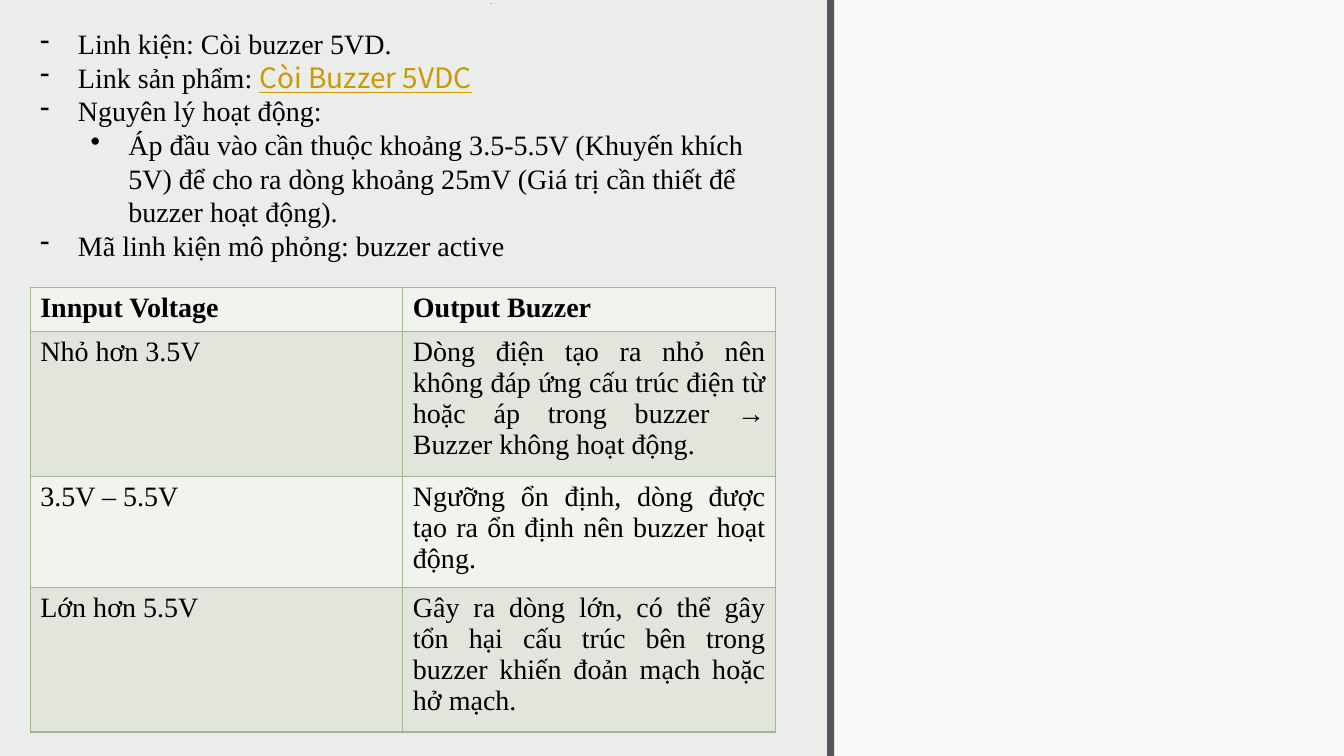
from lxml import etree
from pptx import Presentation
from pptx.dml.color import RGBColor
from pptx.enum.shapes import MSO_SHAPE
from pptx.enum.text import PP_ALIGN
from pptx.oxml.ns import qn
from pptx.util import Pt

RECTANGLE = MSO_SHAPE.RECTANGLE
JUSTIFY = PP_ALIGN.JUSTIFY
BODY_FONT = "Times New Roman"
LINK_FONT = "Noto Sans CJK JP"
TEXT_SIZE = 20

COLORS = {
    "background": "EBEDEB",
    "panel": "FFFFFF",
    "divider": "595460",
    "dot": "30466D",
    "text": "000000",
    "link": "CC9900",
    "border": "A5B592",
    "light_row": "F0F3EE",
    "dark_row": "E1E5DC",
}

# Each entry: level, plain text, link-styled text
NOTES = [
    (0, "Linh kiện: Còi buzzer 5VD.", ""),
    (0, "Link sản phẩm: ", "Còi Buzzer 5VDC"),
    (0, "Nguyên lý hoạt động:", ""),
    (1, "Áp đầu vào cần thuộc khoảng 3.5-5.5V (Khuyến khích 5V) để cho ra "
        "dòng khoảng 25mV (Giá trị cần thiết để buzzer hoạt động).", ""),
    (0, "Mã linh kiện mô phỏng: buzzer active", ""),
]
BULLETS = [("-", 27), ("•", 63)]  # character and left margin per level
HANGING = 27

# Each entry: row height, input voltage, buzzer output
VOLTAGE_ROWS = [
    (31.4, "Innput Voltage", "Output Buzzer"),
    (103.6, "Nhỏ hơn 3.5V",
     "Dòng điện tạo ra nhỏ nên không đáp ứng cấu trúc điện từ hoặc áp trong "
     "buzzer → Buzzer không hoạt động."),
    (79, "3.5V – 5.5V",
     "Ngưỡng ổn định, dòng được tạo ra ổn định nên buzzer hoạt động."),
    (103.2, "Lớn hơn 5.5V",
     "Gây ra dòng lớn, có thể gây tổn hại cấu trúc bên trong buzzer khiến "
     "đoản mạch hoặc hở mạch."),
]


def color(name):
    return RGBColor.from_string(COLORS[name])


def fill_shape(shape, color_name):
    shape.fill.solid()
    shape.fill.fore_color.rgb = color(color_name)
    shape.line.fill.background()
    shape.shadow.inherit = False


def add_rectangle(slide, left, top, width, height, color_name, opacity=100):
    shape = slide.shapes.add_shape(RECTANGLE, Pt(left), Pt(top), Pt(width), Pt(height))
    fill_shape(shape, color_name)
    if opacity < 100:
        rgb = shape.fill._xPr.find(".//" + qn("a:srgbClr"))
        etree.SubElement(rgb, qn("a:alpha"), val=str(opacity * 1000))


def add_dot(slide, left, top, size):
    builder = slide.shapes.build_freeform(Pt(left), Pt(top))
    builder.add_line_segments(
        [(Pt(left + size), Pt(top)), (Pt(left), Pt(top + size))], close=True)
    fill_shape(builder.convert_to_shape(), "dot")


def style_run(run, font_name=BODY_FONT, color_name="text", bold=False):
    run.font.name = font_name
    run.font.size = Pt(TEXT_SIZE)
    run.font.bold = bold
    run.font.color.rgb = color(color_name)


def set_bullet(paragraph, level):
    character, margin = BULLETS[level]
    paragraph.level = level
    properties = paragraph._p.get_or_add_pPr()
    properties.set("marL", str(Pt(margin)))
    properties.set("indent", str(Pt(-HANGING)))
    etree.SubElement(properties, qn("a:buChar"), char=character)


def add_notes(slide, left, top, width, height):
    box = slide.shapes.add_textbox(Pt(left), Pt(top), Pt(width), Pt(height))
    frame = box.text_frame
    frame.word_wrap = True
    for index, (level, text, link) in enumerate(NOTES):
        paragraph = frame.add_paragraph() if index else frame.paragraphs[0]
        paragraph.text = text
        paragraph.line_spacing = Pt(24)
        set_bullet(paragraph, level)
        style_run(paragraph.runs[0])
        if link:
            run = paragraph.add_run()
            run.text = link
            style_run(run, LINK_FONT, "link")
            run.font.underline = True


def set_borders(cell):
    properties = cell._tc.get_or_add_tcPr()
    for index, side in enumerate(("lnL", "lnR", "lnT", "lnB")):
        line = etree.Element(qn("a:" + side), w=str(Pt(1)))
        fill = etree.SubElement(line, qn("a:solidFill"))
        etree.SubElement(fill, qn("a:srgbClr"), val=COLORS["border"])
        properties.insert(index, line)


def add_voltage_table(slide, left, top, width):
    height = sum(row[0] for row in VOLTAGE_ROWS)
    table = slide.shapes.add_table(
        len(VOLTAGE_ROWS), 2, Pt(left), Pt(top), Pt(width), Pt(height)).table
    for row_index, (row_height, *texts) in enumerate(VOLTAGE_ROWS):
        table.rows[row_index].height = Pt(row_height)
        for column_index, text in enumerate(texts):
            cell = table.cell(row_index, column_index)
            cell.fill.solid()
            cell.fill.fore_color.rgb = color("dark_row" if row_index % 2 else "light_row")
            set_borders(cell)
            paragraph = cell.text_frame.paragraphs[0]
            paragraph.text = text
            paragraph.alignment = JUSTIFY
            style_run(paragraph.runs[0], bold=row_index == 0)


def main():
    presentation = Presentation()
    presentation.slide_width = Pt(960)
    presentation.slide_height = Pt(540)
    slide = presentation.slides.add_slide(presentation.slide_layouts[6])
    slide.background.fill.solid()
    slide.background.fill.fore_color.rgb = color("background")

    # Right panel, dot and divider
    add_rectangle(slide, 596, 0, 364, 540, "panel", opacity=75)
    add_dot(slide, 350.6, 2.2, 0.7)
    add_rectangle(slide, 590.8, 0, 5, 540, "divider")

    # Notes and voltage table
    add_notes(slide, 21.6, 15.6, 532.4, 177)
    add_voltage_table(slide, 21.6, 205.4, 532.4)

    presentation.save("out.pptx")


if __name__ == "__main__":
    main()
